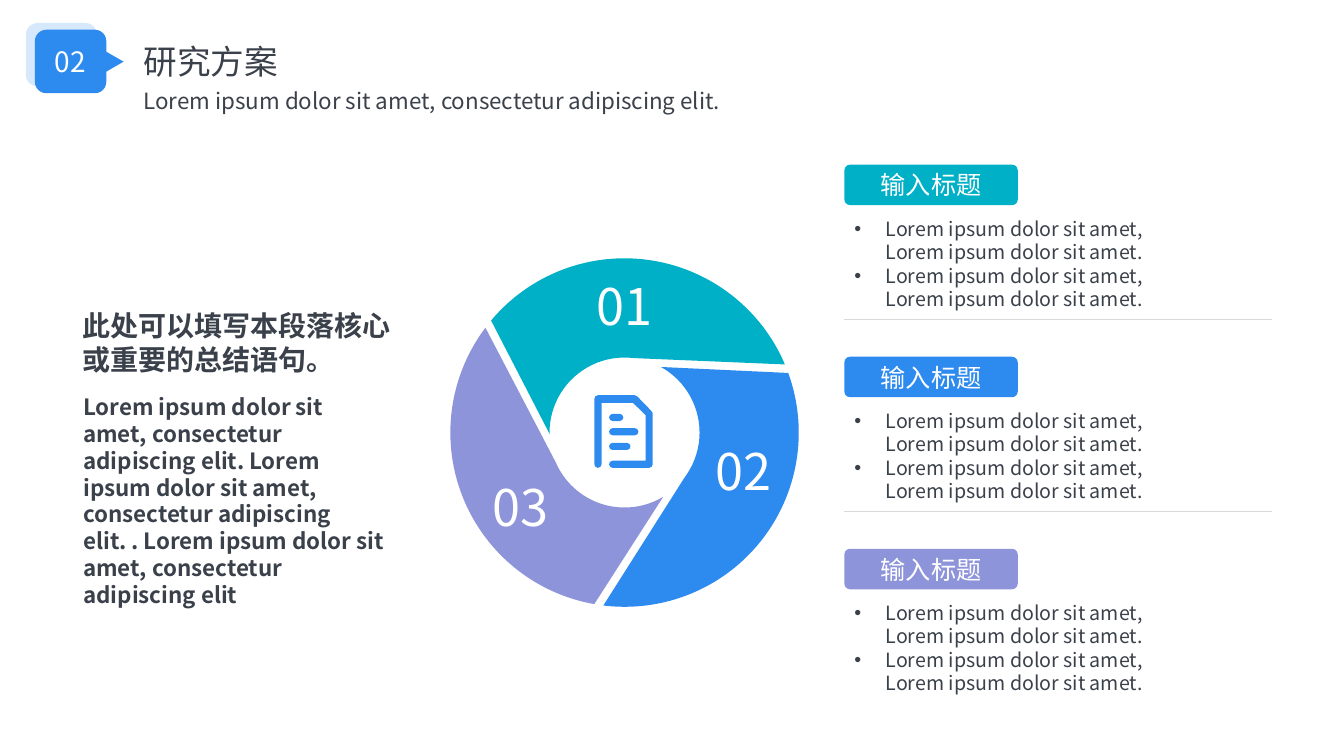
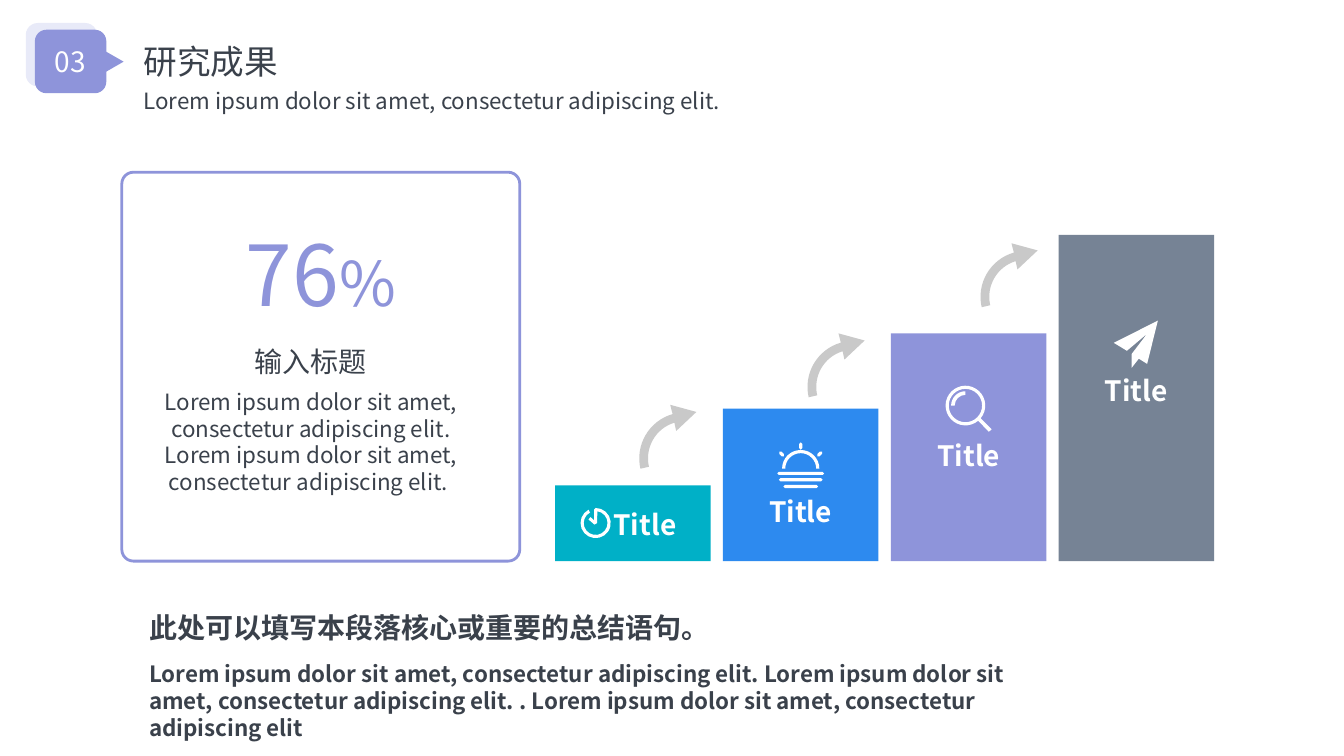
from dataclasses import dataclass
from math import atan2, ceil, cos, degrees, radians, sin, tan

from lxml import etree
from pptx import Presentation
from pptx.dml.color import RGBColor
from pptx.enum.shapes import MSO_CONNECTOR, MSO_SHAPE
from pptx.enum.text import MSO_ANCHOR, MSO_AUTO_SIZE, PP_ALIGN
from pptx.oxml.ns import qn
from pptx.util import Cm, Pt

ROUNDED = MSO_SHAPE.ROUNDED_RECTANGLE
RECTANGLE = MSO_SHAPE.RECTANGLE
TRIANGLE = MSO_SHAPE.ISOSCELES_TRIANGLE
STRAIGHT = MSO_CONNECTOR.STRAIGHT
LEFT = PP_ALIGN.LEFT
CENTER = PP_ALIGN.CENTER
MIDDLE = MSO_ANCHOR.MIDDLE
GROW = MSO_AUTO_SIZE.SHAPE_TO_FIT_TEXT

TEAL = RGBColor(0x00, 0xB0, 0xC7)
BLUE = RGBColor(0x2D, 0x8A, 0xEF)
PURPLE = RGBColor(0x8E, 0x94, 0xDA)
SLATE = RGBColor(0x76, 0x83, 0x95)
PALE_BLUE = RGBColor(0xD5, 0xE8, 0xFC)
PALE_PURPLE = RGBColor(0xE8, 0xEA, 0xF8)
INK = RGBColor(0x3A, 0x41, 0x4B)
WHITE = RGBColor(0xFF, 0xFF, 0xFF)
RULE_GRAY = RGBColor(0xD9, 0xD9, 0xD9)
ARROW_GRAY = RGBColor(0xC9, 0xC9, 0xC9)

FONT = "Noto Sans CJK SC"
SUBTITLE = "Lorem ipsum dolor sit amet, consectetur adipiscing elit."
BULLET = "Lorem ipsum dolor sit amet, Lorem ipsum dolor sit amet."
ITEM_TITLE = "输入标题"
KEY_SENTENCE = "此处可以填写本段落核心或重要的总结语句。"
KEY_DETAIL = (f"{SUBTITLE} {SUBTITLE} . Lorem ipsum dolor sit amet, "
              "consectetur adipiscing elit")

Point = tuple[float, float]
Node = tuple[Point, ...]
Contour = list[Node]


@dataclass(frozen=True)
class TextStyle:
    size: float
    color: RGBColor = INK
    bold: bool = False
    align: PP_ALIGN = LEFT


@dataclass(frozen=True)
class Section:
    number: str
    title: str
    color: RGBColor
    pale: RGBColor


@dataclass(frozen=True)
class Sector:
    number: str
    color: RGBColor
    turn: float
    label: Point


@dataclass(frozen=True)
class Step:
    color: RGBColor
    height: float
    label: Point


SECTIONS = (Section("02", "研究方案", BLUE, PALE_BLUE),
            Section("03", "研究成果", PURPLE, PALE_PURPLE))
SECTORS = (Sector("01", TEAL, 0, (14.04, 6.81)),
           Sector("02", BLUE, 120, (17.04, 10.97)),
           Sector("03", PURPLE, 240, (11.42, 11.87)))
STEPS = (Step(TEAL, 1.91, (14.91, 12.66)),
         Step(BLUE, 3.84, (18.83, 12.34)),
         Step(PURPLE, 5.74, (23.07, 10.92)),
         Step(SLATE, 8.22, (27.29, 9.28)))
ARROW_CENTERS = ((17.27, 11.55), (21.51, 9.75), (25.87, 7.48))

TITLE_STYLE = TextStyle(24)
SUBTITLE_STYLE = TextStyle(16)
BADGE_STYLE = TextStyle(20, WHITE, align=CENTER)
KEY_STYLE = TextStyle(20, bold=True)
DETAIL_STYLE = TextStyle(16, bold=True)
TAG_STYLE = TextStyle(18, WHITE, align=CENTER)
BULLET_STYLE = TextStyle(14)
SECTOR_STYLE = TextStyle(36, WHITE, align=CENTER)
STEP_STYLE = TextStyle(20, WHITE, True, CENTER)


def corners(*points: Point) -> Contour:
    return [(point,) for point in points]


def arc(center: Point, radius: float, start: float, end: float,
        step: float = 45) -> Contour:
    count = ceil(abs(end - start) / step)
    sweep = radians(end - start) / count
    pull = 4 / 3 * tan(sweep / 4)

    def place(angle: float, offset: float) -> Point:
        return (center[0] + radius * (cos(angle) - offset * sin(angle)),
                center[1] + radius * (sin(angle) + offset * cos(angle)))

    angles = [radians(start) + sweep * index for index in range(count + 1)]
    curves = [(place(first, pull), place(last, -pull), place(last, 0))
              for first, last in zip(angles, angles[1:])]
    return corners(place(angles[0], 0)) + curves


def capsule(start: Point, end: Point, radius: float) -> Contour:
    heading = degrees(atan2(end[1] - start[1], end[0] - start[0]))
    return (arc(end, radius, heading - 90, heading + 90, 90)
            + arc(start, radius, heading + 90, heading + 270, 90))


def band(center: Point, outer: float, inner: float, start: float,
         end: float) -> Contour:
    return arc(center, outer, start, end) + arc(center, inner, end, start)


def add_run(paragraph, text: str, style: TextStyle) -> None:
    run = paragraph.add_run()
    run.text = text
    values = {"name": FONT, "size": Pt(style.size), "bold": style.bold}
    for name, value in values.items():
        setattr(run.font, name, value)
    run.font.color.rgb = style.color
    east_asian = etree.SubElement(run._r.get_or_add_rPr(), qn("a:ea"))
    east_asian.set("typeface", FONT)


def add_bullet(paragraph) -> None:
    properties = paragraph._p.get_or_add_pPr()
    properties.set("marL", str(Cm(0.79)))
    properties.set("indent", str(-Cm(0.79)))
    etree.SubElement(properties, qn("a:buFont")).set("typeface", "Arial")
    etree.SubElement(properties, qn("a:buChar")).set("char", "•")


def add_text(slide, left: float, top: float, width: float, height: float,
             lines: list[str], style: TextStyle, bulleted: bool = False):
    box = slide.shapes.add_textbox(Cm(left), Cm(top), Cm(width), Cm(height))
    frame = box.text_frame
    for name, value in {"word_wrap": True, "auto_size": GROW}.items():
        setattr(frame, name, value)
    for index, line in enumerate(lines):
        paragraph = frame.add_paragraph() if index else frame.paragraphs[0]
        if bulleted:
            add_bullet(paragraph)
        paragraph.alignment = style.align
        add_run(paragraph, line, style)
    return box


def paint(shape, color: RGBColor) -> None:
    shape.shadow.inherit = False
    shape.fill.solid()
    shape.fill.fore_color.rgb = color
    shape.line.fill.background()


def add_block(slide, kind: MSO_SHAPE, left: float, top: float, width: float,
              height: float, color: RGBColor, corner: float = 0):
    shape = slide.shapes.add_shape(kind, Cm(left), Cm(top), Cm(width), Cm(height))
    paint(shape, color)
    if corner:
        shape.adjustments[0] = corner
    return shape


def label_block(shape, text: str, style: TextStyle) -> None:
    frame = shape.text_frame
    values = {"vertical_anchor": MIDDLE, "margin_top": 0, "margin_bottom": 0,
              "word_wrap": True}
    for name, value in values.items():
        setattr(frame, name, value)
    frame.paragraphs[0].alignment = style.align
    add_run(frame.paragraphs[0], text, style)


def bend_curves(shape, contours: list[Contour]) -> None:
    outline = next(shape._element.iter(qn("a:path")))
    segments = iter([part for part in outline if part.tag != qn("a:close")])
    for node in (node for contour in contours for node in contour):
        parts = [next(segments) for _ in node]
        if len(parts) == 3:
            curve = etree.Element(qn("a:cubicBezTo"))
            parts[0].addprevious(curve)
            for part in parts:
                curve.append(part[0])
                outline.remove(part)


def add_outline(slide, contours: list[Contour], color: RGBColor) -> None:
    builder = None
    for contour in contours:
        start, *others = [(Cm(x), Cm(y)) for node in contour for x, y in node]
        if builder is None:
            builder = slide.shapes.build_freeform(*start)
        else:
            builder.move_to(*start)
        builder.add_line_segments(others, close=True)
    shape = builder.convert_to_shape()
    bend_curves(shape, contours)
    paint(shape, color)


def add_rule(slide, left: float, right: float, y: float) -> None:
    connector = slide.shapes.add_connector(
        STRAIGHT, Cm(left), Cm(y), Cm(right), Cm(y))
    connector.line.color.rgb = RULE_GRAY
    connector.line.width = Pt(0.25)
    etree.SubElement(connector._element.spPr, qn("a:effectLst"))


def add_header(slide, section: Section) -> None:
    pointer = add_block(slide, TRIANGLE, 2.16, 1.11, 1.02, 0.89, section.color)
    pointer.rotation = 90
    add_block(slide, ROUNDED, 0.65, 0.58, 1.8, 1.6, section.pale, 0.19)
    badge = add_block(slide, ROUNDED, 0.88, 0.75, 1.8, 1.6, section.color, 0.18)
    label_block(badge, section.number, BADGE_STYLE)
    add_text(slide, 3.37, 0.91, 10, 1.27, [section.title], TITLE_STYLE)
    add_text(slide, 3.37, 2.06, 16, 0.94, [SUBTITLE], SUBTITLE_STYLE)


def add_sector(slide, sector: Sector) -> None:
    center, turn = (15.74, 10.9), sector.turn
    ring_part = (arc(center, 4.39, 220 + turn, 337 + turn)
                 + arc(center, 1.89, 277 + turn, 179 + turn))
    add_outline(slide, [ring_part], sector.color)
    add_text(slide, *sector.label, 3.4, 1.8, [sector.number], SECTOR_STYLE)


def add_document_icon(slide) -> None:
    radius = 0.09
    page = (corners((15.16, 10.15))
            + arc((15.07, 11.7), radius, 0, 180, 90)
            + arc((15.07, 10.05), radius, 180, 270, 90)
            + corners((16, 9.96), (16.06, 9.99), (16.41, 10.35), (16.45, 10.41))
            + arc((16.36, 11.7), radius, 0, 90, 90)
            + arc((15.44, 11.7), radius, 90, 270, 90)
            + corners((16.27, 11.61), (16.27, 10.46), (15.95, 10.15)))
    rows = [capsule((15.44, y), (right, y), radius)
            for y, right in ((10.52, 15.62), (10.88, 16), (11.25, 15.8))]
    add_outline(slide, [page, *rows], BLUE)


def add_clock_icon(slide) -> None:
    center = (15.01, 13.18)
    hands = corners((14.97, 12.84), (14.97, 13.11), (14.88, 13.03),
                    (14.83, 13.09), (14.98, 13.22), (15.05, 13.18))
    face = (arc(center, 0.38, 242, -90) + hands
            + arc(center, 0.3, -82, 242))
    add_outline(slide, [face], WHITE)


def add_sunrise_icon(slide) -> None:
    middle, radius = 20.18, 0.04
    dome = band((middle, 11.81), 0.47, 0.39, 180, 360)
    waves = [capsule((middle - half, y), (middle + half, y), radius)
             for y, half in ((11.93, 0.55), (12.09, 0.51), (12.26, 0.4))]
    rays = [capsule((middle + near, bottom), (middle + far, top), radius)
            for near, bottom, far, top in ((0, 11.29, 0, 11.19),
                                           (0.45, 11.47, 0.51, 11.41),
                                           (-0.45, 11.47, -0.51, 11.41))]
    add_outline(slide, [dome, *waves, *rays], WHITE)


def add_magnifier_icon(slide) -> None:
    center = (24.33, 10.22)
    rim = arc(center, 0.5, 50, 400) + corners((24.99, 10.82), (24.92, 10.88))
    lens = arc(center, 0.42, 360, 0)
    gleam = band(center, 0.36, 0.27, 180, 270)
    add_outline(slide, [rim, lens, gleam], WHITE)


def add_plane_icon(slide) -> None:
    plane = corners((28.07, 8.64), (29.18, 8.08), (28.91, 9.17), (28.7, 9.04),
                    (28.52, 9.27), (28.52, 8.92), (28.91, 8.41), (28.4, 8.84))
    add_outline(slide, [plane], WHITE)


def add_curved_arrow(slide, center: Point) -> None:
    head = [(center[0] + x, center[1] + y)
            for x, y in ((-0.23, -0.69), (0.28, -1.17), (-0.38, -1.35))]
    tail = arc(center, 1.16, 254, 167) + arc(center, 0.94, 167, 253)
    add_outline(slide, [corners(*head) + tail], ARROW_GRAY)


def build_plan(slide) -> None:
    add_text(slide, 1.83, 7.66, 8.56, 1.96, [KEY_SENTENCE], KEY_STYLE)
    add_text(slide, 1.85, 9.78, 8.26, 4.37, [KEY_DETAIL], DETAIL_STYLE)
    for index, sector in enumerate(SECTORS):
        top = 4.15 + 4.84 * index
        tag = add_block(slide, ROUNDED, 21.28, top, 4.37, 1.02, sector.color, 0.14)
        label_block(tag, ITEM_TITLE, TAG_STYLE)
        add_text(slide, 21.28, top + 1.18, 8.81, 2.65, [BULLET, BULLET],
                 BULLET_STYLE, bulleted=True)
        if index < len(SECTORS) - 1:
            add_rule(slide, 21.28, 32.05, top + 3.9)
        add_sector(slide, sector)
    add_document_icon(slide)


def build_results(slide) -> None:
    card = add_block(slide, ROUNDED, 3.07, 4.34, 10.03, 9.8, WHITE, 0.03)
    card.line.color.rgb = PURPLE
    card.line.width = Pt(2)
    figure = add_text(slide, 5.75, 5.49, 4.67, 2.67, ["76"],
                      TextStyle(60, PURPLE, align=CENTER))
    add_run(figure.text_frame.paragraphs[0], "%", TextStyle(44, PURPLE))
    add_text(slide, 5.64, 8.56, 4.37, 1.12, [ITEM_TITLE],
             TextStyle(20, align=CENTER))
    add_text(slide, 3.6, 9.65, 8.48, 3, [f"{SUBTITLE} {SUBTITLE} "],
             TextStyle(16, align=CENTER))
    for index, step in enumerate(STEPS):
        add_block(slide, RECTANGLE, 13.99 + 4.23 * index, 14.14 - step.height,
                  3.92, step.height, step.color)
        add_text(slide, *step.label, 2.69, 1.04, ["Title"], STEP_STYLE)
    for add_icon in (add_clock_icon, add_sunrise_icon, add_magnifier_icon,
                     add_plane_icon):
        add_icon(slide)
    for center in ARROW_CENTERS:
        add_curved_arrow(slide, center)
    add_text(slide, 3.51, 15.27, 15.09, 1.12, [KEY_SENTENCE], KEY_STYLE)
    add_text(slide, 3.51, 16.51, 22.71, 1.63, [KEY_DETAIL], DETAIL_STYLE)


def main() -> None:
    presentation = Presentation()
    presentation.slide_width, presentation.slide_height = Cm(33.87), Cm(19.05)
    for section, build in zip(SECTIONS, (build_plan, build_results)):
        slide = presentation.slides.add_slide(presentation.slide_layouts[6])
        add_header(slide, section)
        build(slide)
    presentation.save("out.pptx")


if __name__ == "__main__":
    main()
